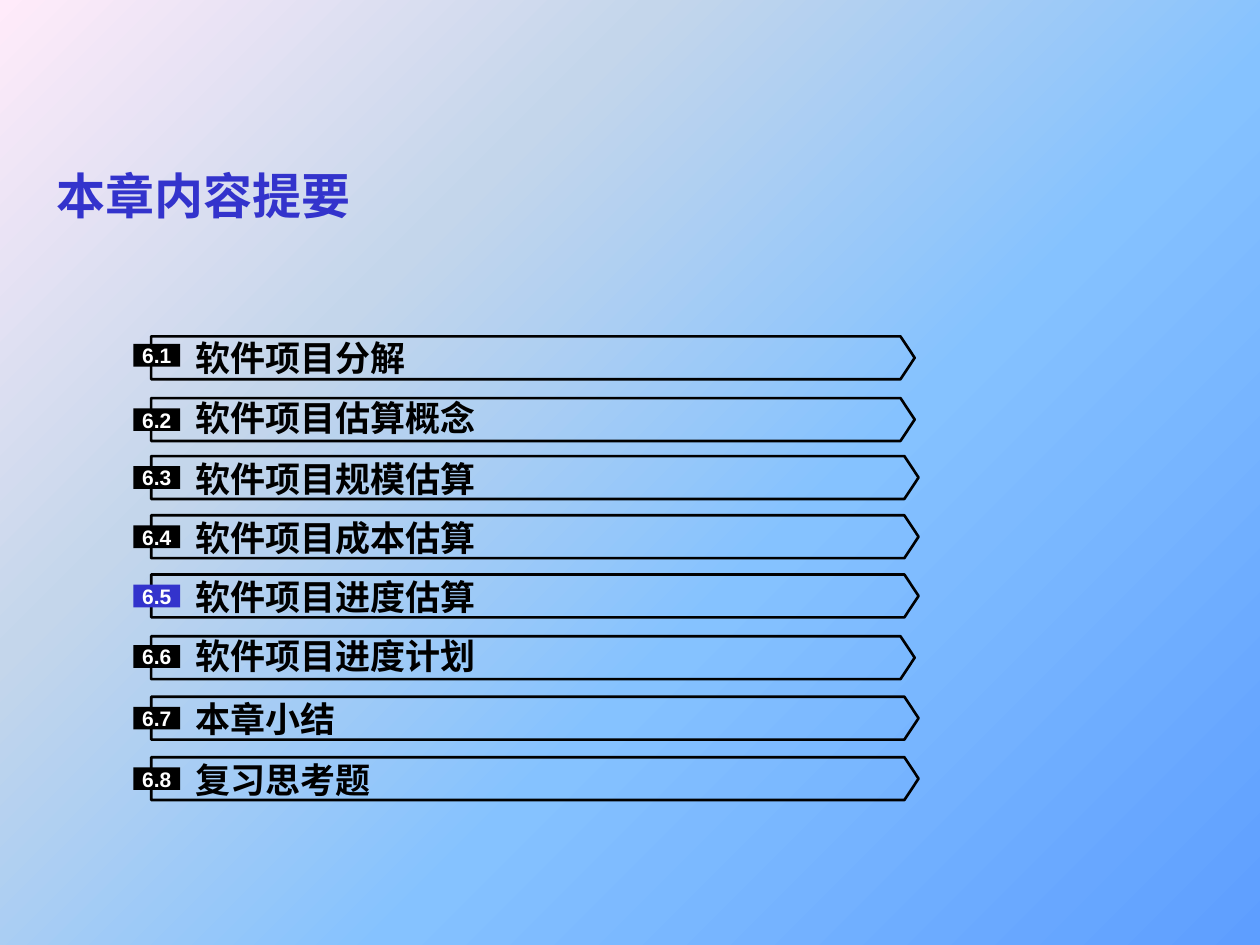
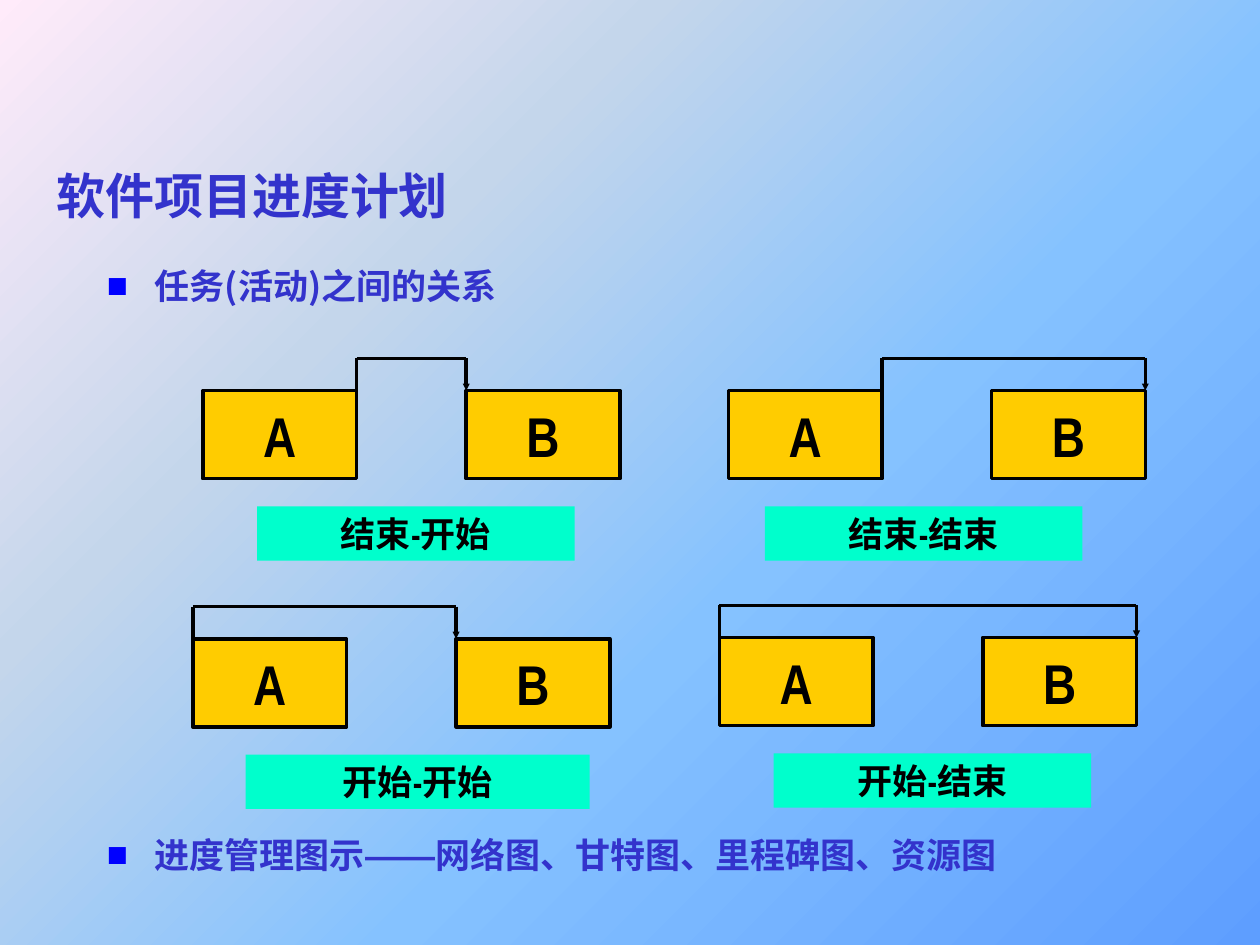
from dataclasses import dataclass

from lxml import etree
from pptx import Presentation
from pptx import util as u
from pptx.dml.color import RGBColor
from pptx.enum import shapes, text
from pptx.oxml import ns

INDIGO = RGBColor(0x33, 0x33, 0xCC)
BLUE = RGBColor(0x00, 0x00, 0xFF)
BLACK = RGBColor(0x00, 0x00, 0x00)
WHITE = RGBColor(0xFF, 0xFF, 0xFF)
AMBER = RGBColor(0xFF, 0xCC, 0x00)
MINT = RGBColor(0x00, 0xFF, 0xCC)
SKY = [
    (0, RGBColor(0x5E, 0x9E, 0xFF)),
    (40, RGBColor(0x85, 0xC2, 0xFF)),
    (70, RGBColor(0xC4, 0xD6, 0xEB)),
    (100, RGBColor(0xFF, 0xEB, 0xFA)),
]

HAN_FONT = "Noto Sans CJK SC"
SLIDE_W, SLIDE_H = u.Inches(10), u.Inches(7.5)
COLUMN, ROW = SLIDE_W / 100, SLIDE_H / 75

TITLE_STYLE = dict(size=u.Pt(28), name="Arial", bold=True)
BODY_STYLE = dict(size=u.Pt(20), name=HAN_FONT, bold=True)
TOPIC_STYLE = dict(size=u.Pt(20), name="Times New Roman", bold=True)
NUMBER_STYLE = dict(size=u.Pt(12), name="Arial", bold=True)
TASK_STYLE = dict(size=u.Pt(32), name="Arial Narrow", bold=True)
RELATION_STYLE = dict(size=u.Pt(20), name="Arial Narrow", bold=True)
NO_MARGINS = dict(margin_left=0, margin_right=0, margin_top=0, margin_bottom=0)
MIDDLE = dict(vertical_anchor=text.MSO_ANCHOR.MIDDLE, word_wrap=True)
TIGHT = {**MIDDLE, **NO_MARGINS}
UNWRAPPED = {**MIDDLE, "word_wrap": False}


@dataclass(frozen=True)
class Area:
    left: float
    top: float
    width: float
    height: float

    def place(self) -> tuple[int, int, int, int]:
        return (round(self.left * COLUMN), round(self.top * ROW),
                round(self.width * COLUMN), round(self.height * ROW))


@dataclass(frozen=True)
class Topic:
    heading: str
    top: float
    plate_width: float = 60.9
    heading_drop: float = 0.1
    number_drop: float = 0.8


@dataclass(frozen=True)
class Relation:
    caption: str
    left: float
    top: float
    from_end: bool
    to_end: bool
    caption_left: float
    caption_width: float = 25.2


TOPICS = [
    Topic("软件项目分解", 26.7, 60.6, 0, 0.6),
    Topic("软件项目估算概念", 31.6, 60.6, -0.1),
    Topic("软件项目规模估算", 36.2),
    Topic("软件项目成本估算", 40.9),
    Topic("软件项目进度估算", 45.6),
    Topic("软件项目进度计划", 50.5, 60.6, -0.1, 0.7),
    Topic("本章小结", 55.3),
    Topic("复习思考题", 60.1),
]
CURRENT_TOPIC = 5

RELATIONS = [
    Relation("结束-开始", 16.1, 31, True, False, 20.4),
    Relation("结束-结束", 57.8, 31, True, True, 60.7),
    Relation("开始-开始", 15.3, 50.7, False, False, 19.5, 27.3),
    Relation("开始-结束", 57.1, 50.6, False, True, 61.4),
]
TASK_W, TASK_H, TASK_PITCH = 12.2, 7, 20.9
LINK_RISE, CAPTION_DROP, CAPTION_H = 2.55, 9.2, 4.3


def assign(target, values: dict) -> None:
    for key, value in values.items():
        setattr(target, key, value)


def add_run(paragraph, words: str, style: dict, color: RGBColor, han: str = HAN_FONT) -> None:
    run = paragraph.add_run()
    run.text = words
    assign(run.font, style)
    run.font.color.rgb = color
    latin = run.font._element.find(ns.qn("a:latin"))
    east_asian = etree.Element(ns.qn("a:ea"), typeface=han)
    latin.addnext(east_asian)


def add_text(slide, area: Area, words: str, style: dict, color: RGBColor, layout: dict) -> None:
    frame = slide.shapes.add_textbox(*area.place()).text_frame
    assign(frame, layout)
    add_run(frame.paragraphs[0], words, style, color)


def add_block(slide, area: Area, words: str, style: dict, color: RGBColor,
              fill: RGBColor, layout: dict, border: float = 0) -> None:
    block = slide.shapes.add_shape(shapes.MSO_SHAPE.RECTANGLE, *area.place())
    block.shadow.inherit = False
    block.fill.solid()
    block.fill.fore_color.rgb = fill
    if border:
        block.line.color.rgb = BLACK
        block.line.width = u.Pt(border)
    else:
        block.line.fill.background()
    assign(block.text_frame, layout)
    paragraph = block.text_frame.paragraphs[0]
    paragraph.alignment = text.PP_ALIGN.CENTER
    add_run(paragraph, words, style, color)


def add_link(slide, start: tuple[float, float], end: tuple[float, float],
             arrow: bool = False) -> None:
    points = [round(v) for x, y in (start, end) for v in (x * COLUMN, y * ROW)]
    link = slide.shapes.add_connector(shapes.MSO_CONNECTOR.STRAIGHT, *points)
    link.line.color.rgb = BLACK
    link.line.width = u.Pt(2)
    if arrow:
        etree.SubElement(link.line._get_or_add_ln(), ns.qn("a:tailEnd"),
                         type="triangle", w="sm", len="sm")
    etree.SubElement(link._element.spPr, ns.qn("a:effectLst"))


def add_bullet(paragraph) -> None:
    properties = paragraph._p.get_or_add_pPr()
    indent = u.Inches(0.38)
    properties.set("marL", str(indent))
    properties.set("indent", str(-indent))
    bullet_color = etree.SubElement(properties, ns.qn("a:buClr"))
    etree.SubElement(bullet_color, ns.qn("a:srgbClr"), val=str(BLUE))
    etree.SubElement(properties, ns.qn("a:buFont"), typeface="Arial")
    etree.SubElement(properties, ns.qn("a:buChar"), char="■")


def paint_background(master) -> None:
    fill = master.background.fill
    fill.gradient()
    fill.gradient_angle = 135
    stops = master._element.find(".//" + ns.qn("p:bgPr")).find(".//" + ns.qn("a:gsLst"))
    for stop in list(stops):
        stops.remove(stop)
    for percent, color in SKY:
        stop = etree.SubElement(stops, ns.qn("a:gs"), pos=str(percent * 1000))
        etree.SubElement(stop, ns.qn("a:srgbClr"), val=str(color))


def add_titled_slide(prs, title: str):
    slide = prs.slides.add_slide(prs.slide_layouts[6])
    add_text(slide, Area(3.5, 11.5, 94.5, 7.9), title, TITLE_STYLE, INDIGO, MIDDLE)
    return slide


def add_topic(slide, number: int, topic: Topic) -> None:
    plate = slide.shapes.add_shape(
        shapes.MSO_SHAPE.PENTAGON, *Area(12, topic.top, topic.plate_width, 3.4).place())
    plate.shadow.inherit = False
    plate.adjustments[0] = 0.33
    plate.fill.background()
    plate.line.color.rgb = BLACK
    plate.line.width = u.Pt(1.5)
    add_text(slide, Area(15.5, topic.top + topic.heading_drop, 53.3, 3.3),
             topic.heading, TOPIC_STYLE, BLACK, TIGHT)
    add_block(slide, Area(10.6, topic.top + topic.number_drop, 3.7, 1.8), f"6.{number}",
              NUMBER_STYLE, WHITE, INDIGO if number == CURRENT_TOPIC else BLACK, TIGHT)


def add_relation(slide, relation: Relation) -> None:
    second_left = relation.left + TASK_PITCH
    for name, left in (("A", relation.left), ("B", second_left)):
        add_block(slide, Area(left, relation.top, TASK_W, TASK_H), name,
                  TASK_STYLE, BLACK, AMBER, UNWRAPPED, border=2)
    source = relation.left + TASK_W * relation.from_end
    target = second_left + TASK_W * relation.to_end
    rail = relation.top - LINK_RISE
    add_link(slide, (source, relation.top), (source, rail))
    add_link(slide, (source, rail), (target, rail))
    add_link(slide, (target, rail), (target, relation.top), arrow=True)
    add_block(slide, Area(relation.caption_left, relation.top + CAPTION_DROP,
                          relation.caption_width, CAPTION_H),
              relation.caption, RELATION_STYLE, BLACK, MINT, MIDDLE)


def build_outline(prs) -> None:
    slide = add_titled_slide(prs, "本章内容提要")
    for number, topic in enumerate(TOPICS, start=1):
        add_topic(slide, number, topic)


def build_schedule(prs) -> None:
    slide = add_titled_slide(prs, "软件项目进度计划")
    body = slide.shapes.add_textbox(*Area(7.5, 20.5, 90.6, 54).place()).text_frame
    body.word_wrap = True
    relations_point, charts_point = body.paragraphs[0], body.add_paragraph()
    for point in (relations_point, charts_point):
        add_bullet(point)
    charts_point.space_before = u.Pt(301)
    add_run(relations_point, "任务(活动)之间的关系", BODY_STYLE, INDIGO)
    add_run(charts_point, "进度管理图示", BODY_STYLE, INDIGO)
    add_run(charts_point, "——", {**BODY_STYLE, "name": "Arial"}, INDIGO, "Arial")
    add_run(charts_point, "网络图、甘特图、里程碑图、资源图", BODY_STYLE, INDIGO)
    for relation in RELATIONS:
        add_relation(slide, relation)


def main() -> None:
    prs = Presentation()
    prs.slide_width, prs.slide_height = SLIDE_W, SLIDE_H
    paint_background(prs.slide_master)
    build_outline(prs)
    build_schedule(prs)
    prs.save("out.pptx")


if __name__ == "__main__":
    main()
